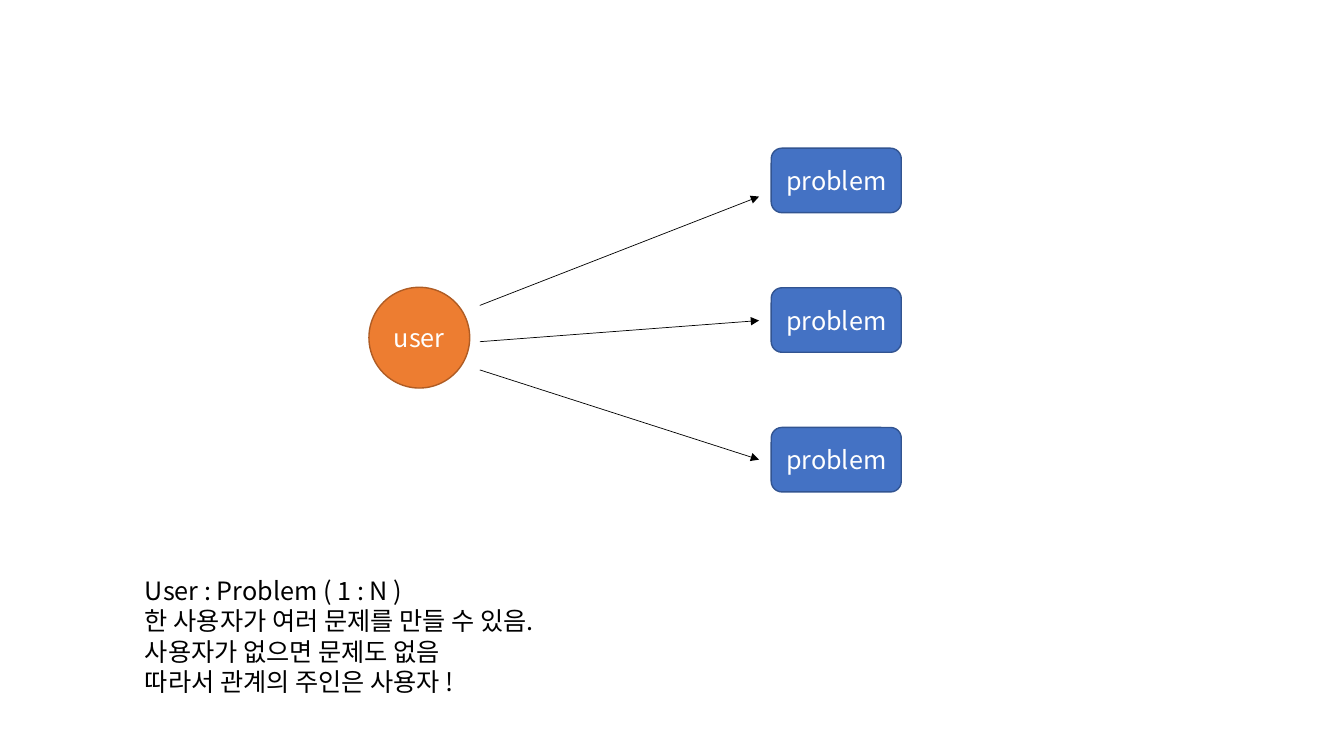
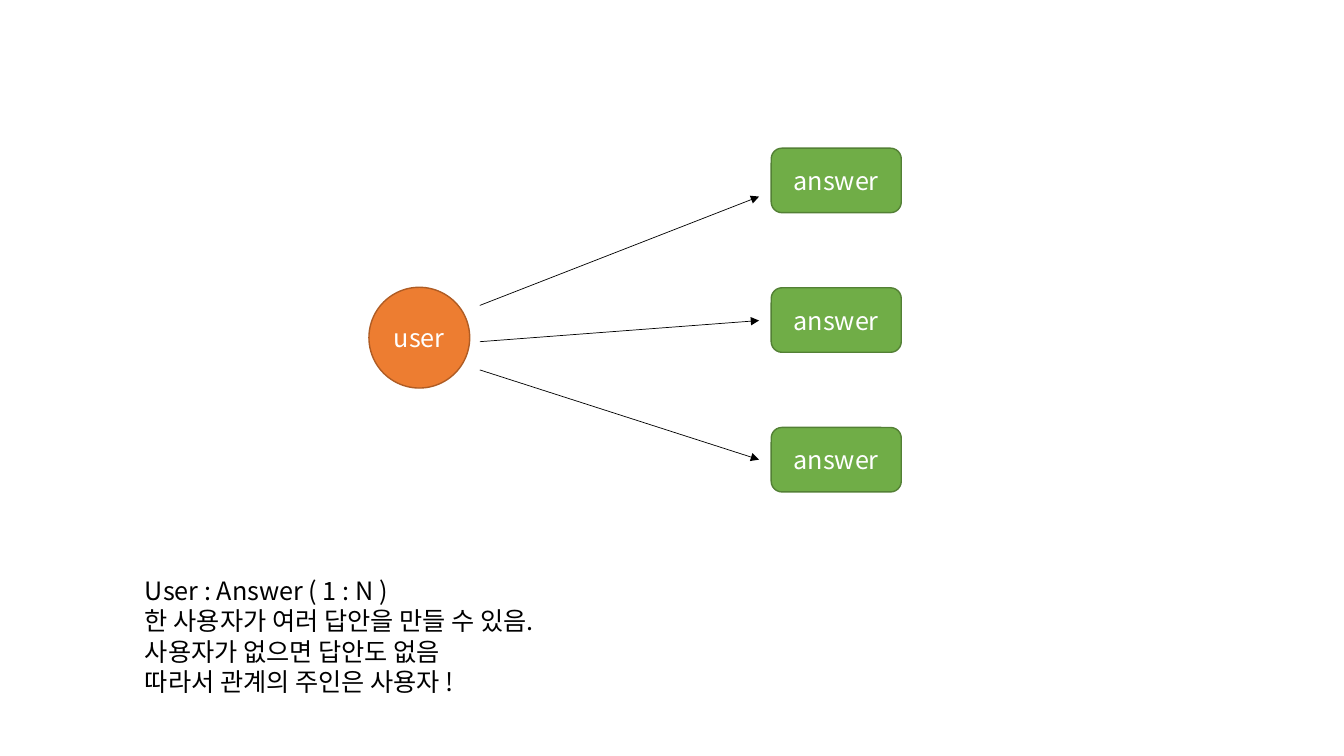
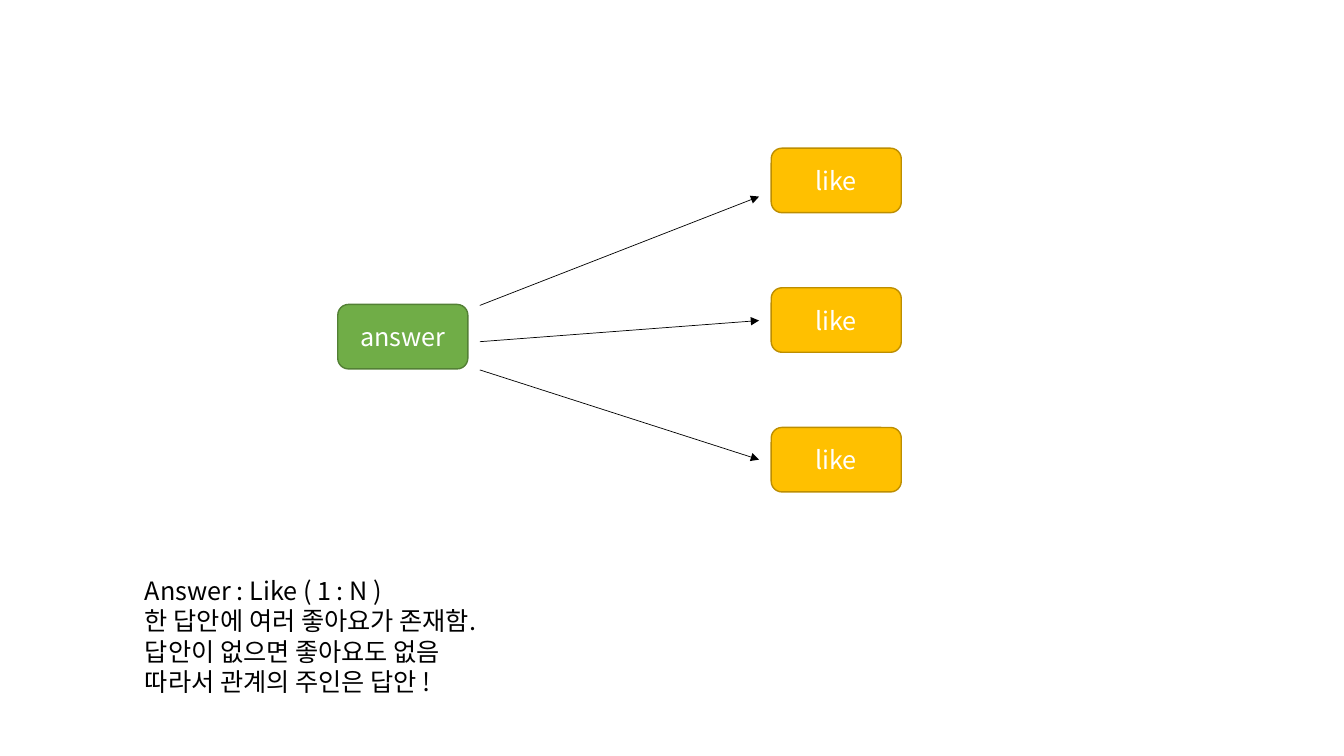
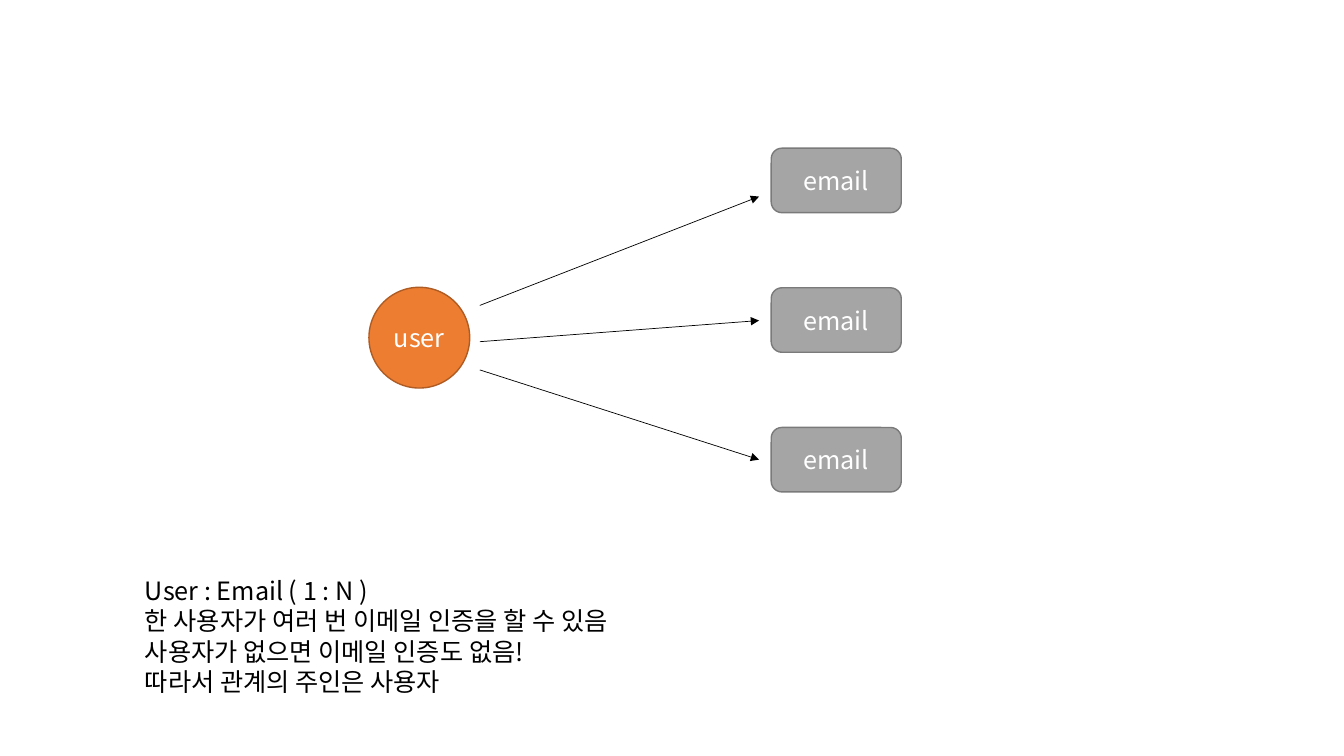
from lxml.etree import SubElement as add_element
from pptx import Presentation
from pptx.dml.color import RGBColor
from pptx.enum.shapes import MSO_CONNECTOR, MSO_SHAPE
from pptx.enum.text import MSO_ANCHOR as Anchor, PP_ALIGN as Align
from pptx.oxml.ns import qn
from pptx.util import Inches, Pt

COLOURS = {
    "user": "ED7D31", "user edge": "AF5C24",
    "problem": "4472C4", "problem edge": "325491",
    "answer": "70AD47", "answer edge": "538035",
    "like": "FFC000", "like edge": "BD8E00",
    "email": "A5A5A5", "email edge": "7A7A7A",
    "light": "FFFFFF", "ink": "000000",
}
FONT = "Noto Sans CJK KR"
TEXT_SIZE = 18
GRID = 100
CARD_SIZE = (9.68, 8.53)
CARD_LEFT, CARD_TOP, CARD_STEP = 57.38, 19.6, 18.47
CIRCLE = (27.45, 38, 7.5, 13.33)
OWNER_CARD = (25.13, 40.27)
NOTE = (10.05, 75.47, 41, 17.47)
ARROW_START, ARROW_END = 35.7, 56.48
ARROW_ROWS = [(40.4, 26), (45.2, 42.4), (48.93, 60.8)]


class Diagram:
    def __init__(self):
        self.deck = Presentation()
        self.deck.slide_width = Inches(13.33)
        self.deck.slide_height = Inches(7.5)
        self.page = None

    def new_page(self):
        self.page = self.deck.slides.add_slide(self.deck.slide_layouts[6])

    def place(self, column, row):
        return (round(self.deck.slide_width * column / GRID),
                round(self.deck.slide_height * row / GRID))

    def colour(self, name):
        return RGBColor.from_string(COLOURS[name])

    def add_span(self, para, text, colour):
        span = para.add_run()
        span.text = text
        span.font.name = FONT
        span.font.size = Pt(TEXT_SIZE)
        span.font.color.rgb = self.colour(colour)
        add_element(span._r.get_or_add_rPr(), qn("a:ea"), typeface=FONT)

    def entity(self, name, column, row, width, height, kind=MSO_SHAPE.ROUNDED_RECTANGLE):
        shape = self.page.shapes.add_shape(
            kind, *self.place(column, row), *self.place(width, height))
        shape.shadow.inherit = False
        shape.fill.solid()
        shape.fill.fore_color.rgb = self.colour(name)
        shape.line.color.rgb = self.colour(name + " edge")
        shape.line.width = Pt(1)
        shape.text_frame.vertical_anchor = Anchor.MIDDLE
        para = shape.text_frame.paragraphs[0]
        para.alignment = Align.CENTER
        self.add_span(para, name, "light")

    def owner(self, name):
        if name == "user":
            self.entity(name, *CIRCLE, MSO_SHAPE.OVAL)
        else:
            self.entity(name, *OWNER_CARD, *CARD_SIZE)

    def arrow(self, start_row, end_row):
        line = self.page.shapes.add_connector(
            MSO_CONNECTOR.STRAIGHT,
            *self.place(ARROW_START, start_row), *self.place(ARROW_END, end_row))
        line.line.color.rgb = self.colour("ink")
        line.line.width = Pt(0.5)
        outline = line._element.spPr.find(qn("a:ln"))
        add_element(outline, qn("a:tailEnd"), type="triangle")
        add_element(line._element.spPr, qn("a:effectLst"))

    def note(self, heading, *sentences):
        column, row, width, height = NOTE
        box = self.page.shapes.add_textbox(
            *self.place(column, row), *self.place(width, height))
        frame = box.text_frame
        frame.word_wrap = True
        para = frame.paragraphs[0]
        self.add_span(para, heading, "ink")
        para.add_line_break()
        self.add_span(para, sentences[0], "ink")
        for sentence in sentences[1:]:
            self.add_span(frame.add_paragraph(), sentence, "ink")

    def relation(self, owner, member, sentences):
        self.new_page()
        self.owner(owner)
        for index, rows in enumerate(ARROW_ROWS):
            self.entity(member, CARD_LEFT, CARD_TOP + index * CARD_STEP, *CARD_SIZE)
            self.arrow(*rows)
        self.note(f"{owner.title()} : {member.title()} ( 1 : N )", *sentences)


RELATIONS = [
    ("user", "problem", ["한 사용자가 여러 문제를 만들 수 있음.",
                         "사용자가 없으면 문제도 없음",
                         "따라서 관계의 주인은 사용자 !"]),
    ("user", "answer", ["한 사용자가 여러 답안을 만들 수 있음.",
                        "사용자가 없으면 답안도 없음",
                        "따라서 관계의 주인은 사용자 !"]),
    ("answer", "like", ["한 답안에 여러 좋아요가 존재함.",
                        "답안이 없으면 좋아요도 없음",
                        "따라서 관계의 주인은 답안 !"]),
    ("user", "email", ["한 사용자가 여러 번 이메일 인증을 할 수 있음",
                       "사용자가 없으면 이메일 인증도 없음!",
                       "따라서 관계의 주인은 사용자"]),
]

diagram = Diagram()
for relation in RELATIONS:
    diagram.relation(*relation)
diagram.deck.save("out.pptx")
